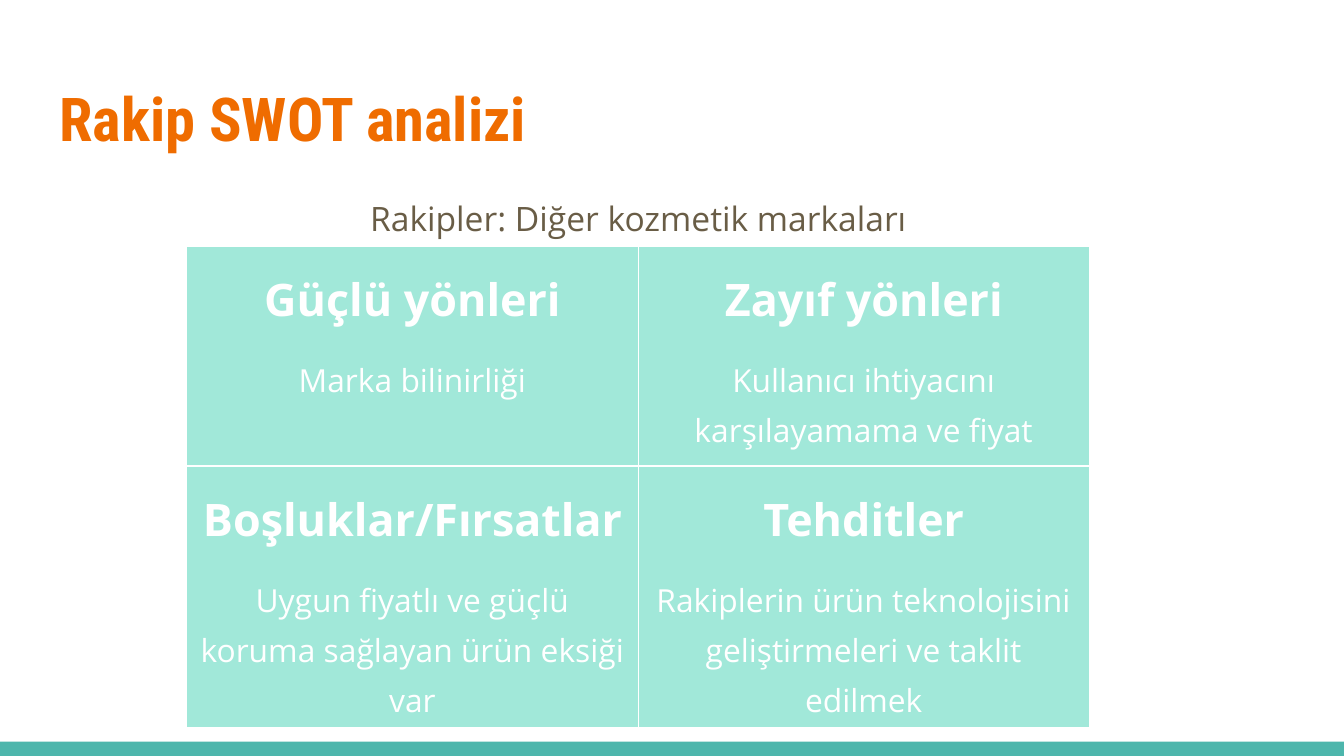
from lxml.etree import SubElement
from pptx import Presentation
from pptx.dml.color import RGBColor
from pptx.enum.shapes import MSO_SHAPE
from pptx.enum.text import MSO_ANCHOR, PP_ALIGN
from pptx.oxml.ns import qn
from pptx.util import Cm, Pt

WHITE = RGBColor(0xFF, 0xFF, 0xFF)
TEAL = RGBColor(0x4D, 0xB6, 0xAC)
MINT = RGBColor(0xA1, 0xE8, 0xD9)
ORANGE = RGBColor(0xEF, 0x6C, 0x00)
BROWN = RGBColor(0x69, 0x5D, 0x46)
INSET = Cm(0.25)

SWOT = [
    [("Güçlü yönleri", "Marka bilinirliği"),
     ("Zayıf yönleri", "Kullanıcı ihtiyacını karşılayamama ve fiyat")],
    [("Boşluklar/Fırsatlar", "Uygun fiyatlı ve güçlü koruma sağlayan ürün eksiği var"),
     ("Tehditler", "Rakiplerin ürün teknolojisini geliştirmeleri ve taklit edilmek")],
]


def write(p, text, size, color, font="Open Sans", bold=False):
    p.text = text
    f = p.runs[0].font
    f.name, f.size, f.bold = font, Pt(size), bold
    f.color.rgb = color


def center(p, before=0, after=0):
    p.alignment = PP_ALIGN.CENTER
    p.line_spacing = 1.15
    p.space_before, p.space_after = Pt(before), Pt(after)


def set_insets(box):
    box.margin_left = box.margin_right = INSET
    box.margin_top = box.margin_bottom = INSET


def add_text_box(slide, x, y, w, h):
    tf = slide.shapes.add_textbox(x, y, w, h).text_frame
    tf.word_wrap = True
    set_insets(tf)
    return tf


def add_footer_bar(slide, x, y, w, h):
    sp = slide.shapes.add_shape(MSO_SHAPE.RECTANGLE, x, y, w, h)
    sp.shadow.inherit = False
    sp.fill.solid()
    sp.fill.fore_color.rgb = TEAL
    sp.line.fill.background()


def add_title(slide, x, y, w, h):
    tf = add_text_box(slide, x, y, w, h)
    tf.vertical_anchor = MSO_ANCHOR.MIDDLE
    write(tf.paragraphs[0], "Rakip SWOT analizi", 32.4, ORANGE, "Roboto Condensed", True)


def add_subtitle(slide, x, y, w, h):
    p = add_text_box(slide, x, y, w, h).paragraphs[0]
    write(p, "Rakipler: Diğer kozmetik markaları", 18, BROWN)
    center(p, after=12)


def add_borders(cell):
    """Put the four border lines ahead of the fill, as the schema orders them."""
    tc_pr = cell._tc.get_or_add_tcPr()
    for i, side in enumerate(("lnL", "lnR", "lnT", "lnB")):
        ln = SubElement(tc_pr, qn(f"a:{side}"), w=str(Pt(0.75)))
        fill = SubElement(ln, qn("a:solidFill"))
        SubElement(fill, qn("a:srgbClr"), val=str(WHITE))
        tc_pr.insert(i, ln)


def fill_cell(cell, heading, body):
    set_insets(cell)
    cell.fill.solid()
    cell.fill.fore_color.rgb = MINT
    add_borders(cell)
    tf = cell.text_frame
    p = tf.paragraphs[0]
    write(p, heading, 24, WHITE, bold=True)
    center(p)
    p = tf.add_paragraph()
    write(p, body, 17, WHITE)
    center(p, before=12, after=12)


def add_swot_table(slide, x, y, w, row_heights):
    table = slide.shapes.add_table(2, 2, x, y, w, sum(row_heights)).table
    for row, height in zip(table.rows, row_heights):
        row.height = height
    for r, row in enumerate(SWOT):
        for c, (heading, body) in enumerate(row):
            fill_cell(table.cell(r, c), heading, body)


def main():
    prs = Presentation()
    prs.slide_width, prs.slide_height = Cm(25.4), Cm(14.29)
    slide = prs.slides.add_slide(prs.slide_layouts[6])
    bar_height = Cm(0.27)
    add_footer_bar(slide, 0, prs.slide_height - bar_height, prs.slide_width, bar_height)
    add_title(slide, Cm(0.87), Cm(1.25), Cm(23.67), Cm(1.95))
    add_subtitle(slide, Cm(0.23), Cm(3.38), Cm(23.67), Cm(9.5))
    add_swot_table(slide, Cm(3.53), Cm(4.65), Cm(17.06), (Cm(4.16), Cm(4.95)))
    prs.save("out.pptx")


if __name__ == "__main__":
    main()
